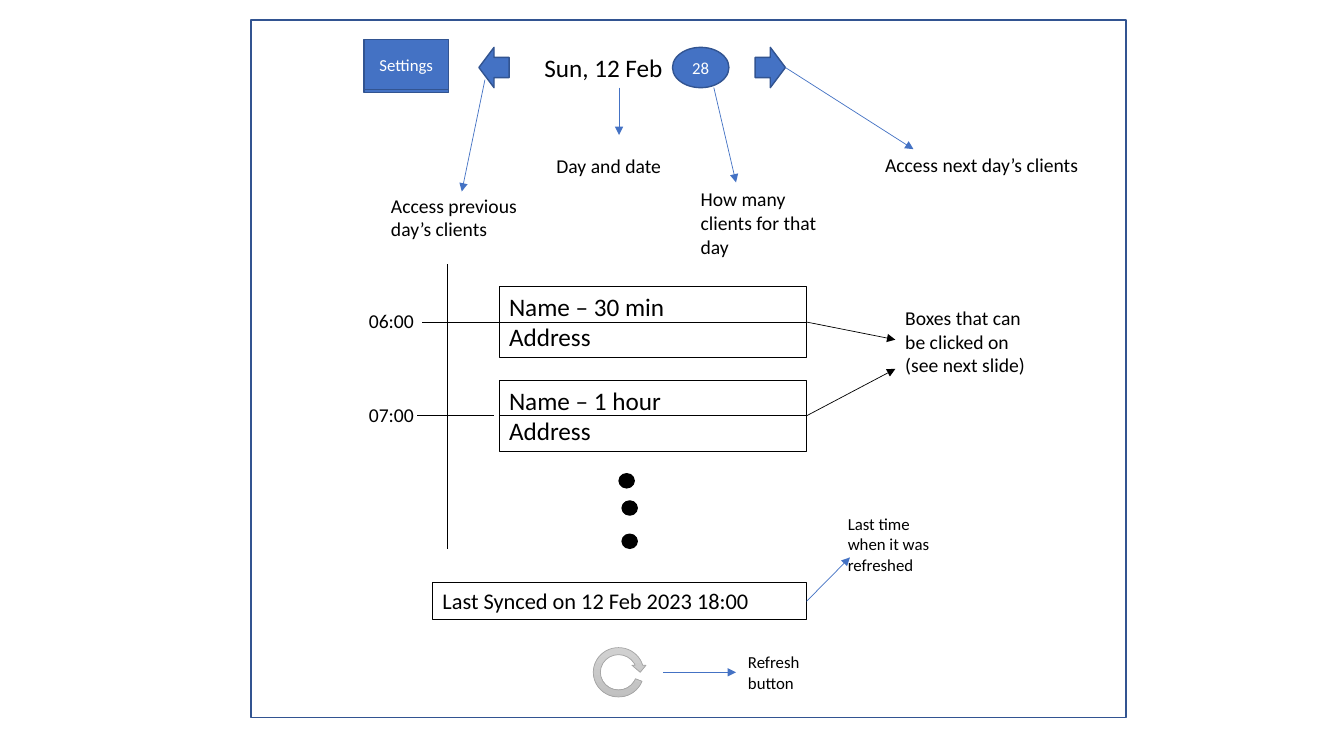
from lxml import etree
from pptx import Presentation
from pptx.dml.color import RGBColor
from pptx.enum import shapes, text
from pptx.oxml import ns
from pptx.util import Inches, Pt

BLUE = RGBColor(0x44, 0x72, 0xC4)
NAVY = RGBColor(0x32, 0x54, 0x91)
BLACK = RGBColor(0, 0, 0)
WHITE = RGBColor(0xFF, 0xFF, 0xFF)
GREY = RGBColor(0xA5, 0xA5, 0xA5)
GREY_STOPS = (RGBColor(0xD2, 0xD2, 0xD2), RGBColor(0xC0, 0xC0, 0xC0))
LEFT, RIGHT = 1, 3  # connection sites of a rectangle
SHAPE = shapes.MSO_SHAPE


def write(tf, lines, size, color=BLACK, align=text.PP_ALIGN.LEFT):
    tf.word_wrap = True
    tf.text = lines
    for p in tf.paragraphs:
        p.alignment = align
        p.font.size = Pt(size)
        p.font.name = "Calibri"
        p.font.color.rgb = color


def add_label(sl, x, y, w, h, lines, size=14, outlined=False):
    sp = sl.shapes.add_textbox(Inches(x), Inches(y), Inches(w), Inches(h))
    write(sp.text_frame, lines, size)
    sp.text_frame.auto_size = text.MSO_AUTO_SIZE.SHAPE_TO_FIT_TEXT
    if outlined:
        sp.line.color.rgb = BLACK
        sp.line.width = Pt(0.75)
    return sp


def add_figure(sl, kind, x, y, w, h, fill=BLUE, line=NAVY, caption=""):
    sp = sl.shapes.add_shape(kind, Inches(x), Inches(y), Inches(w), Inches(h))
    sp.shadow.inherit = False
    if fill is None:
        sp.fill.background()
    else:
        sp.fill.solid()
        sp.fill.fore_color.rgb = fill
    sp.line.color.rgb = line
    sp.line.width = Pt(1)
    if caption:
        write(sp.text_frame, caption, 12, WHITE, text.PP_ALIGN.CENTER)
        sp.text_frame.vertical_anchor = text.MSO_ANCHOR.MIDDLE
    return sp


def add_line(sl, start, end, color=BLACK, arrow=False):
    """Join two ends, each an (x, y) point or a (shape, site) pair."""
    is_point = [isinstance(e[0], (int, float)) for e in (start, end)]
    x1, y1 = start if is_point[0] else (0, 0)
    x2, y2 = end if is_point[1] else (0, 0)
    cn = sl.shapes.add_connector(shapes.MSO_CONNECTOR.STRAIGHT,
                                 Inches(x1), Inches(y1), Inches(x2), Inches(y2))
    if not is_point[0]:
        cn.begin_connect(*start)
    if not is_point[1]:
        cn.end_connect(*end)
    cn.line.color.rgb = color
    cn.line.width = Pt(0.5)
    if arrow:
        etree.SubElement(cn.line._get_or_add_ln(), ns.qn("a:tailEnd"), type="triangle")
    etree.SubElement(cn._element.spPr, ns.qn("a:effectLst"))
    return cn


def add_header(sl, x, y):
    """Settings button, day navigation and the notes that explain them."""
    # Settings button with a second edge below it
    add_figure(sl, SHAPE.RECTANGLE, x, y + 0.03, 0.84, 0.5)
    add_figure(sl, SHAPE.RECTANGLE, x, y, 0.84, 0.5, caption="Settings")

    # Day navigation
    top = y + 0.08
    add_figure(sl, SHAPE.LEFT_ARROW, x + 1.14, top, 0.3, 0.4)
    add_label(sl, x + 1.69, top, 1.69, 0.4, "Sun, 12 Feb", 18)
    add_figure(sl, SHAPE.OVAL, x + 3.06, top, 0.56, 0.4, caption="28")
    add_figure(sl, SHAPE.RIGHT_ARROW, x + 3.88, top, 0.3, 0.4)

    # Notes: text, its box, then the arrow that leads to it
    notes = [
        ("Access previous day’s clients", 0.17, 1.48, 1.57, 0.57, (1.2, 0.4), (0.97, 1.51)),
        ("Day and date", 1.81, 1.09, 1.57, 0.34, (2.53, 0.48), (2.53, 0.95)),
        ("How many clients for that day", 3.24, 1.42, 1.46, 0.81, (3.47, 0.48), (3.69, 1.42)),
        ("Access next day’s clients", 5.07, 1.08, 2.14, 0.34, (4.18, 0.28), (5.45, 1.09)),
    ]
    for note, dx, dy, w, h, (x1, y1), (x2, y2) in notes:
        add_label(sl, x + dx, y + dy, w, h, note)
        add_line(sl, (x + x1, y + y1), (x + x2, y + y2), BLUE, arrow=True)


def add_schedule(sl, x, y):
    """Time line with its appointments."""
    add_line(sl, (x + 0.88, y), (x + 0.88, y + 2.83))

    # Appointments: time, name, tick start, tick gap, height of the note arrow's end
    rows = [("06:00", "Name – 30 min", 0.63, 0, 0.75),
            ("07:00", "Name – 1 hour", 0.58, 0.05, 1.04)]
    for i, (time, name, tick, gap, target) in enumerate(rows):
        top = y + 0.22 + i * 0.93
        middle = top + 0.355
        add_label(sl, x, top + 0.18, 0.73, 0.34, time)
        box = add_label(sl, x + 1.39, top, 3.05, 0.71, name + "\nAddress", 18, outlined=True)
        tick_end = (x + 1.39 - gap, middle) if gap else (box, LEFT)
        add_line(sl, (x + tick, middle), tick_end)
        add_line(sl, (box, LEFT), (box, RIGHT))
        add_line(sl, (box, RIGHT), (x + 5.32, y + target), arrow=True)
    add_label(sl, x + 5.32, y + 0.37, 1.39, 1.04,
              "Boxes that can be clicked on (see next slide)")

    # Dots for further appointments
    for dx, dy in ((2.58, 2.08), (2.61, 2.35), (2.61, 2.68)):
        add_figure(sl, SHAPE.OVAL, x + dx, y + dy, 0.15, 0.14, BLACK, BLACK)


def add_sync(sl, x, y):
    """Last sync time and refresh button."""
    status = add_label(sl, x, y, 3.71, 0.37, "Last Synced on 12 Feb 2023 18:00", 16, outlined=True)
    add_label(sl, x + 4.02, y - 0.73, 1.21, 0.71, "Last time when it was refreshed", 12)
    add_line(sl, (status, RIGHT), (x + 4.14, y - 0.25), BLUE, arrow=True)

    # Refresh button
    ring = add_figure(sl, SHAPE.CIRCULAR_ARROW, x + 1.56, y + 0.61, 0.57, 0.56, line=GREY)
    for i, value in enumerate((0.125, 11.42, 204.58, 12.59, 0.125)):
        ring.adjustments[i] = value
    ring.line.width = Pt(0.5)
    ring.fill.gradient()
    ring.fill.gradient_angle = 270
    for stop, color in zip(ring.fill.gradient_stops, GREY_STOPS):
        stop.color.rgb = color
    add_line(sl, (x + 2.29, y + 0.89), (x + 3.01, y + 0.89), BLUE, arrow=True)
    add_label(sl, x + 3.03, y + 0.64, 0.95, 0.5, "Refresh button", 12)


def main():
    prs = Presentation()
    prs.slide_width, prs.slide_height = Inches(13.33), Inches(7.5)
    sl = prs.slides.add_slide(prs.slide_layouts[6])
    add_figure(sl, SHAPE.RECTANGLE, 2.49, 0.2, 8.68, 6.92, fill=None)  # screen frame
    add_header(sl, 3.61, 0.39)
    add_schedule(sl, 3.56, 2.62)
    add_sync(sl, 4.29, 5.78)
    prs.save("out.pptx")


if __name__ == "__main__":
    main()
